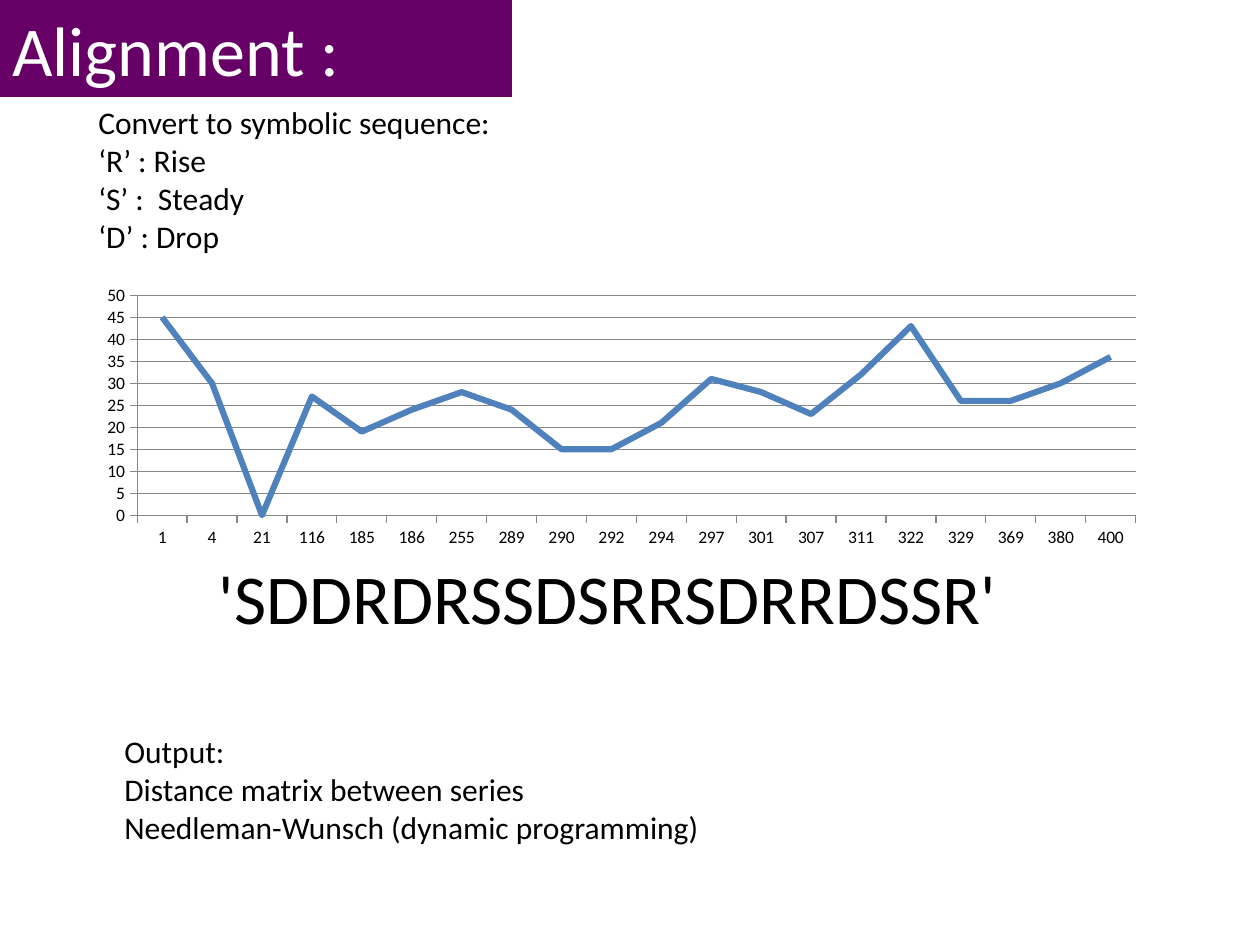
from dataclasses import dataclass

from pptx import Presentation
from pptx.chart.data import CategoryChartData
from pptx.dml.color import RGBColor
from pptx.enum.chart import XL_CHART_TYPE, XL_MARKER_STYLE, XL_TICK_MARK
from pptx.enum.text import MSO_ANCHOR, PP_ALIGN
from pptx.util import Emu, Pt

LINE = XL_CHART_TYPE.LINE
NO_MARKER = XL_MARKER_STYLE.NONE
OUTSIDE = XL_TICK_MARK.OUTSIDE
NO_TICK = XL_TICK_MARK.NONE
TOP = MSO_ANCHOR.TOP
LEFT, CENTER = PP_ALIGN.LEFT, PP_ALIGN.CENTER

PX_PER_INCH = 126
FONT = "Calibri"
BLACK, WHITE, PURPLE = "000000", "FFFFFF", "660066"
BLUE, GRAY = "4F81BD", "878787"


@dataclass
class TextBlock:
    x: int
    y: int
    w: int
    h: int
    text: str
    size: int = 18
    color: str = BLACK
    align: PP_ALIGN = LEFT
    fill: str = ""


BLOCKS = [
    TextBlock(0, 0, 512, 97, "Alignment :", 40, WHITE, fill=PURPLE),
    TextBlock(86, 97, 1061, 165,
              "Convert to symbolic sequence:\n‘R’ : Rise\n‘S’ :  Steady\n‘D’ : Drop"),
    TextBlock(165, 548, 901, 136, "'SDDRDRSSDSRRSDRRDSSR' ", 40, align=CENTER),
    TextBlock(112, 726, 998, 127,
              "Output:\nDistance matrix between series\n"
              "Needleman-Wunsch (dynamic programming)"),
]

SERIES = {
    1: 45, 4: 30, 21: 0, 116: 27, 185: 19, 186: 24, 255: 28, 289: 24, 290: 15, 292: 15,
    294: 21, 297: 31, 301: 28, 307: 23, 311: 32, 322: 43, 329: 26, 369: 26, 380: 30, 400: 36,
}


def px(n: int) -> Emu:
    return Emu(round(n * 914400 / PX_PER_INCH))


def rgb(color: str) -> RGBColor:
    return RGBColor.from_string(color)


def draw_text(slide, b: TextBlock) -> None:
    box = [px(n) for n in (b.x, b.y, b.w, b.h)]
    if b.fill:
        s = slide.shapes.add_shape(1, *box)
        s.shadow.inherit = False
        s.fill.solid()
        s.fill.fore_color.rgb = rgb(b.fill)
        s.line.fill.background()
    else:
        s = slide.shapes.add_textbox(*box)
    tf = s.text_frame
    tf.word_wrap = True
    tf.vertical_anchor = TOP
    tf.text = b.text
    for p in tf.paragraphs:
        p.alignment = b.align
        for r in p.runs:
            r.font.name = FONT
            r.font.size = Pt(b.size)
            r.font.color.rgb = rgb(b.color)


def style_line(line, color: str, width: float) -> None:
    line.color.rgb = rgb(color)
    line.width = Pt(width)


def draw_chart(slide, x: int, y: int, w: int, h: int) -> None:
    data = CategoryChartData()
    data.categories = [str(day) for day in SERIES]
    data.add_series("Series 1", SERIES.values())
    chart = slide.shapes.add_chart(LINE, px(x), px(y), px(w), px(h), data).chart
    chart.has_legend = False
    chart.has_title = False
    chart.font.name = FONT
    chart.font.size = Pt(10)
    chart.font.color.rgb = rgb(BLACK)

    for axis in (chart.category_axis, chart.value_axis):
        axis.major_tick_mark = OUTSIDE
        axis.minor_tick_mark = NO_TICK
        style_line(axis.format.line, GRAY, 0.75)
    values = chart.value_axis
    values.minimum_scale, values.maximum_scale, values.major_unit = 0, 50, 5
    values.has_major_gridlines = True
    style_line(values.major_gridlines.format.line, GRAY, 0.75)

    chart.plots[0].vary_by_categories = False
    series = chart.plots[0].series[0]
    series.smooth = False
    series.marker.style = NO_MARKER
    style_line(series.format.line, BLUE, 3.5)


def main() -> None:
    prs = Presentation()
    prs.slide_width, prs.slide_height = px(1260), px(945)
    slide = prs.slides.add_slide(prs.slide_layouts[6])
    title, legend, *below = BLOCKS
    for block in (title, legend):
        draw_text(slide, block)
    draw_chart(slide, 86, 280, 1071, 273)
    for block in below:
        draw_text(slide, block)
    prs.save("out.pptx")


if __name__ == "__main__":
    main()
